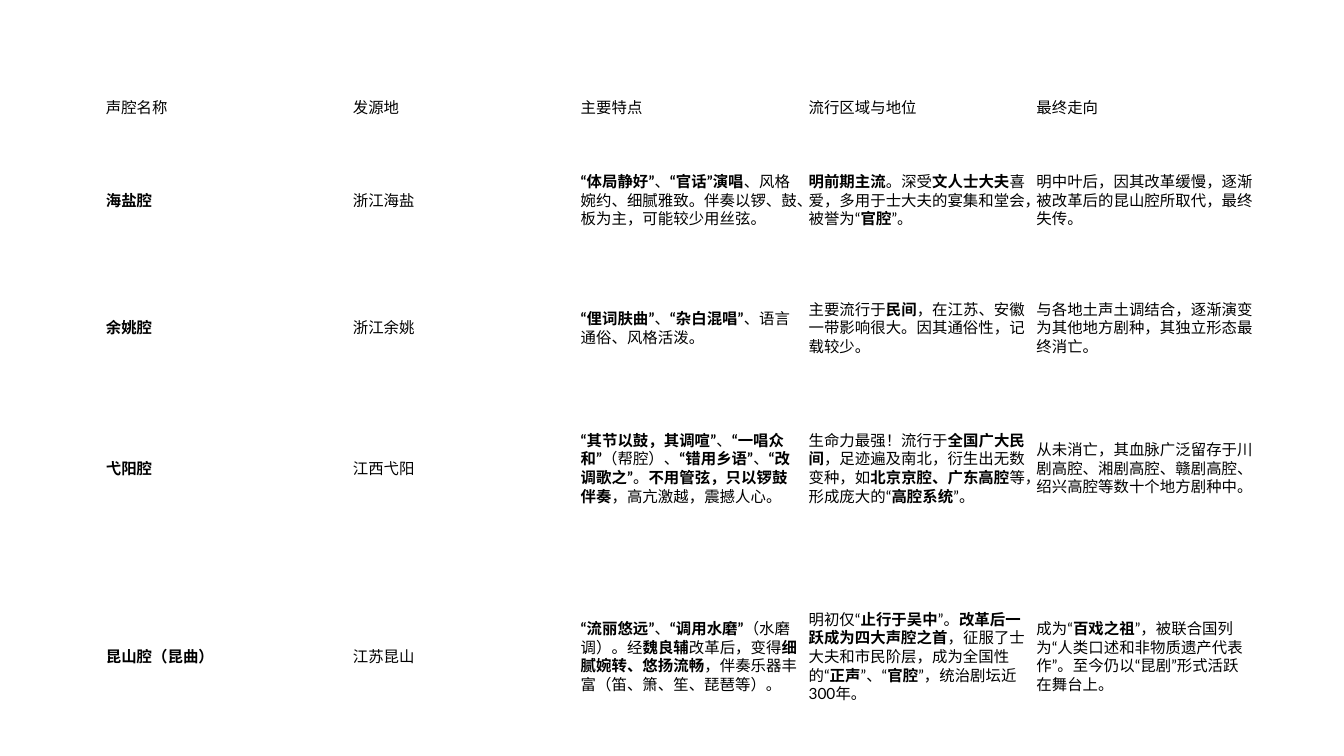
import dataclasses

import pptx
import pptx.dml.color
import pptx.enum.lang
import pptx.enum.text
import pptx.oxml.ns
import pptx.util
from lxml import etree


@dataclasses.dataclass(frozen=True)
class Theme:
    font: str = "Lato"
    size: float = 11
    ink: str = "000000"
    paper: str = "FFFFFF"


THEME = Theme()
SLIDE_W, SLIDE_H = 13.33, 7.5
LEFT, TOP = 0.99, 0.91
COLUMNS = [2.46] + [2.26] * 4
ROWS = [0.32, 1.51, 1.03, 1.75, 1.99]
PAD_X, PAD_Y, PAD_FIRST = 0.05, 0.03, 0.06
BOLD_MARK = "**"

OPERA_STYLES = [
    ["声腔名称", "发源地", "主要特点", "流行区域与地位", "最终走向"],
    [
        "**海盐腔**",
        "浙江海盐",
        "**“体局静好”**、**“官话”演唱**、风格婉约、细腻雅致。伴奏以锣、鼓、板为主，可能较少用丝弦。",
        "**明前期主流**。深受**文人士大夫**喜爱，多用于士大夫的宴集和堂会，被誉为“**官腔**”。",
        "明中叶后，因其改革缓慢，逐渐被改革后的昆山腔所取代，最终失传。",
    ],
    [
        "**余姚腔**",
        "浙江余姚",
        "**“俚词肤曲”**、**“杂白混唱”**、语言通俗、风格活泼。",
        "主要流行于**民间**，在江苏、安徽一带影响很大。因其通俗性，记载较少。",
        "与各地土声土调结合，逐渐演变为其他地方剧种，其独立形态最终消亡。",
    ],
    [
        "**弋阳腔**",
        "江西弋阳",
        "**“其节以鼓，其调喧”**、**“一唱众和”**（帮腔）、**“错用乡语”**、**“改调歌之”**。"
        "**不用管弦，只以锣鼓伴奏**，高亢激越，震撼人心。",
        "生命力最强！流行于**全国广大民间**，足迹遍及南北，衍生出无数变种，"
        "如**北京京腔、广东高腔**等，形成庞大的“**高腔系统**”。",
        "从未消亡，其血脉广泛留存于川剧高腔、湘剧高腔、赣剧高腔、绍兴高腔等数十个地方剧种中。",
    ],
    [
        "**昆山腔（昆曲）**",
        "江苏昆山",
        "**“流丽悠远”**、**“调用水磨”**（水磨调）。经**魏良辅**改革后，变得**细腻婉转、悠扬流畅**，"
        "伴奏乐器丰富（笛、箫、笙、琵琶等）。",
        "明初仅“**止行于吴中**”。**改革后一跃成为四大声腔之首**，征服了士大夫和市民阶层，"
        "成为全国性的“**正声**”、“**官腔**”，统治剧坛近300年。",
        "成为“**百戏之祖**”，被联合国列为“人类口述和非物质遗产代表作”。至今仍以“昆剧”形式活跃在舞台上。",
    ],
]


def color(value):
    return pptx.dml.color.RGBColor.from_string(value)


def add_run(p, text, bold):
    r = p.add_run()
    r.text = text
    font = r.font
    font.name = THEME.font
    font.size = pptx.util.Pt(THEME.size)
    font.bold = bold
    font.color.rgb = color(THEME.ink)
    font.language_id = pptx.enum.lang.MSO_LANGUAGE_ID.SIMPLIFIED_CHINESE
    latin = font._element.find(pptx.oxml.ns.qn("a:latin"))
    ea = etree.Element(pptx.oxml.ns.qn("a:ea"), typeface=THEME.font)
    latin.addnext(ea)


def fill_cell(cell, marked_text, first):
    cell.fill.solid()
    cell.fill.fore_color.rgb = color(THEME.paper)
    cell.vertical_anchor = pptx.enum.text.MSO_ANCHOR.MIDDLE
    cell.margin_left = pptx.util.Inches(PAD_FIRST if first else PAD_X)
    cell.margin_right = pptx.util.Inches(PAD_X)
    cell.margin_top = cell.margin_bottom = pptx.util.Inches(PAD_Y)
    p = cell.text_frame.paragraphs[0]
    for i, text in enumerate(marked_text.split(BOLD_MARK)):
        if text:
            add_run(p, text, bold=i % 2 == 1)


def add_comparison_table(s, content):
    box = [pptx.util.Inches(v) for v in (LEFT, TOP, sum(COLUMNS), sum(ROWS))]
    table = s.shapes.add_table(len(ROWS), len(COLUMNS), *box).table
    table.first_row = table.horz_banding = False
    for column, width in zip(table.columns, COLUMNS):
        column.width = pptx.util.Inches(width)
    for row, height, texts in zip(table.rows, ROWS, content):
        row.height = pptx.util.Inches(height)
        for i, (cell, text) in enumerate(zip(row.cells, texts)):
            fill_cell(cell, text, first=i == 0)


def main():
    prs = pptx.Presentation()
    prs.slide_width = pptx.util.Inches(SLIDE_W)
    prs.slide_height = pptx.util.Inches(SLIDE_H)
    s = prs.slides.add_slide(prs.slide_layouts[6])
    s.background.fill.solid()
    s.background.fill.fore_color.rgb = color(THEME.paper)
    add_comparison_table(s, OPERA_STYLES)
    prs.save("out.pptx")


if __name__ == "__main__":
    main()
